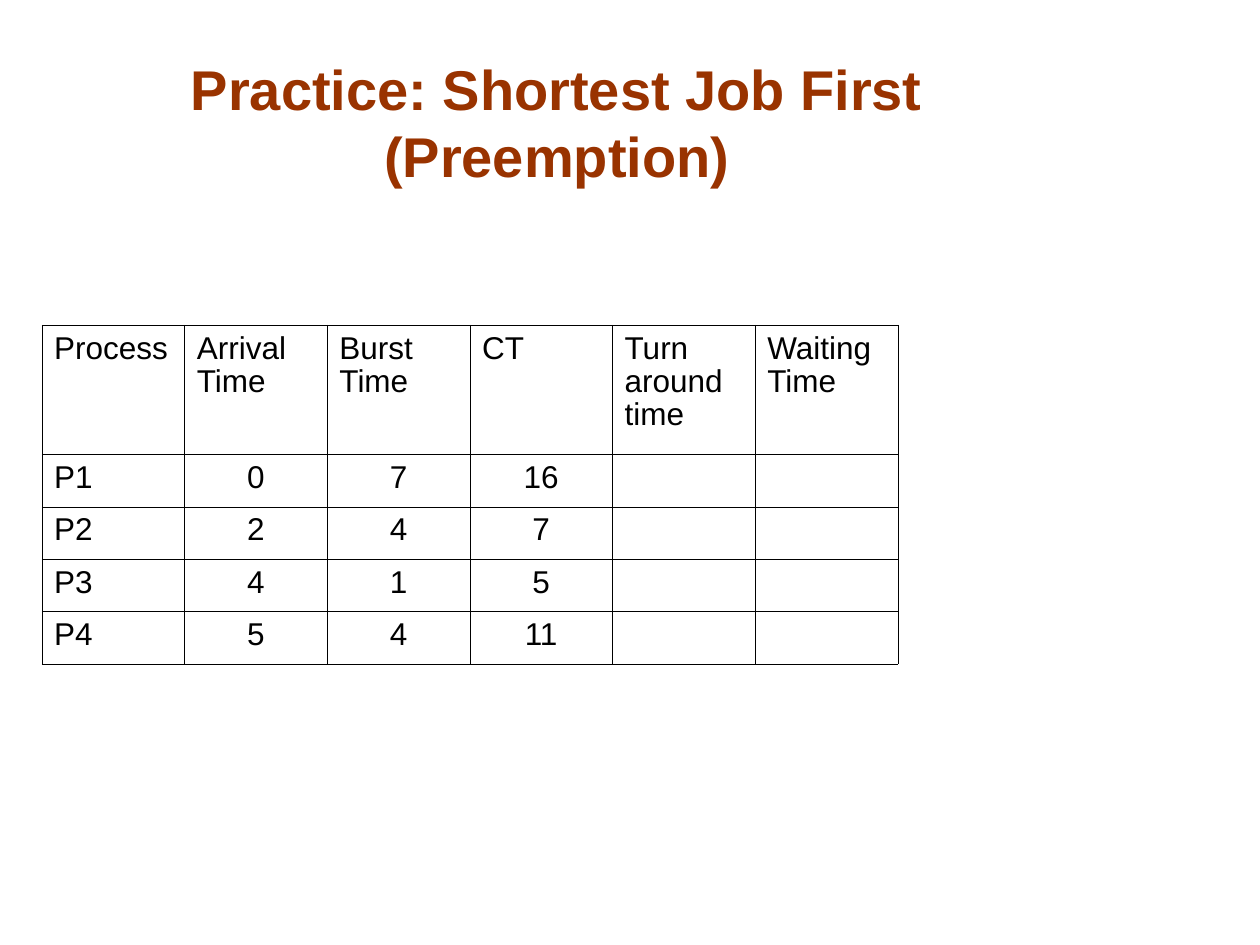
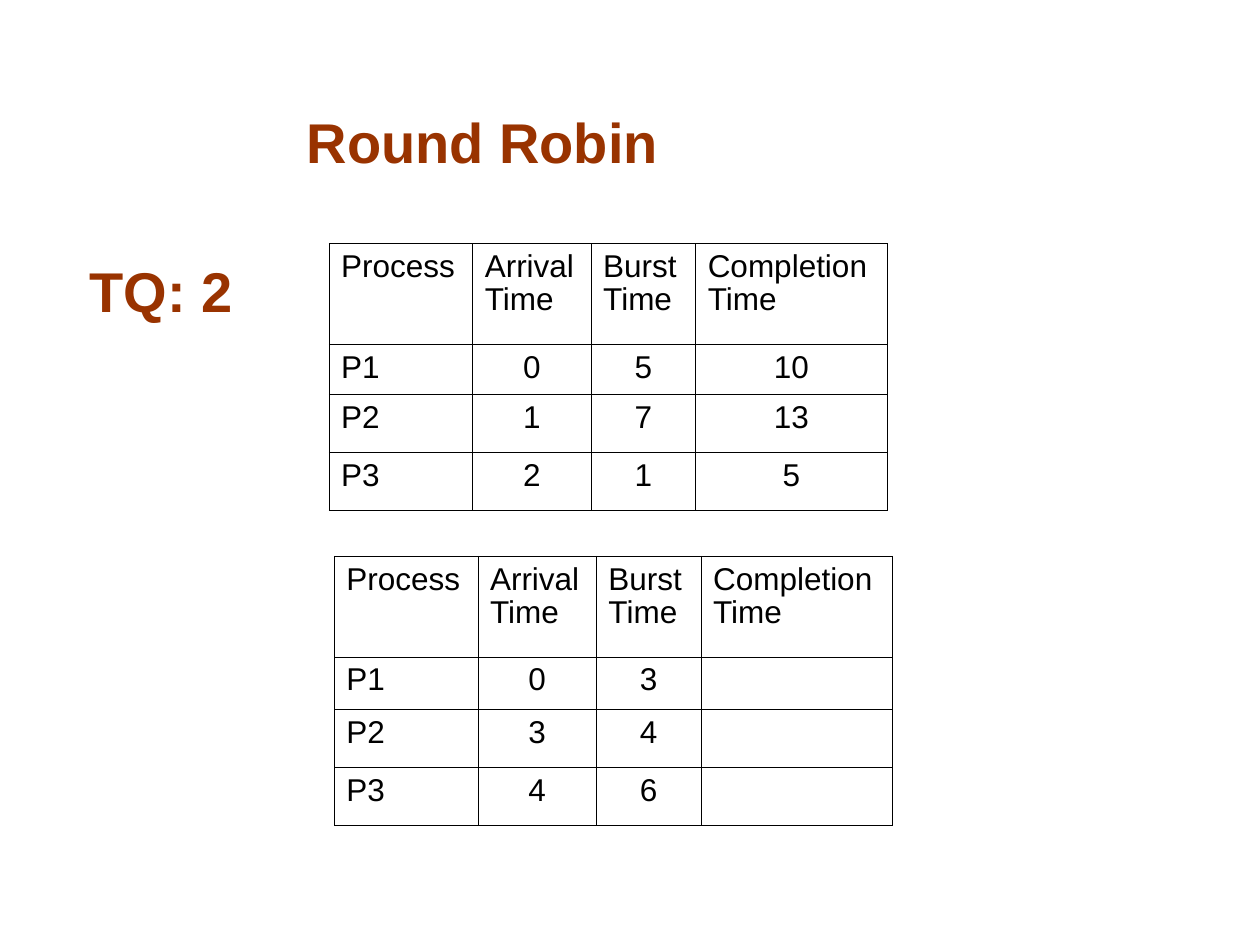
from lxml import etree
from pptx import Presentation
from pptx import util as u
from pptx.dml.color import RGBColor
from pptx.enum import text as t
from pptx.oxml.ns import qn

FONT, RUST, BLACK = "Arial", "993300", "000000"
LEFT, MID = t.PP_ALIGN.LEFT, t.PP_ALIGN.CENTER
HEAD = dict(size=32, color=RUST, bold=True, align=MID)
EDGE = 0.23

ROBIN_HEADS = ["Process", "Arrival Time", "Burst Time", "Completion Time"]
ROBIN_GRID = dict(cols=[82.08, 67.68, 59.76, 109.44],
                  rows=[57.6, 28.8, 33.2, 33.2])

SLIDES = [
    dict(title="Practice: Shortest Job First (Preemption)",
         place=(12.24, 30.24, 612, 81.36),
         tables=[dict(at=(24, 185.76), cols=[81.5] * 6,
                      rows=[74] + [28.95] * 4,
                      cells=[["Process", "Arrival Time", "Burst Time", "CT",
                              "Turn around time", "Waiting Time"],
                             ["P1", "0", "7", "16", "", ""],
                             ["P2", "2", "4", "7", "", ""],
                             ["P3", "4", "1", "5", "", ""],
                             ["P4", "5", "4", "11", "", ""]])]),
    dict(title="Round Robin",
         place=(53.28, 52.56, 444.96, 51.12),
         label=("TQ: 2 ", (20.88, 137.52, 151.2, 51.12)),
         tables=[dict(at=(188, 139), **ROBIN_GRID,
                      cells=[ROBIN_HEADS,
                             ["P1", "0", "5", "10"],
                             ["P2", "1", "7", "13"],
                             ["P3", "2", "1", "5"]]),
                 dict(at=(191, 317.8), **ROBIN_GRID,
                      cells=[ROBIN_HEADS,
                             ["P1", "0", "3", ""],
                             ["P2", "3", "4", ""],
                             ["P3", "4", "6", ""]])]),
]


def pts(vals):
    return [u.Pt(v) for v in vals]


def rgb(code):
    return RGBColor.from_string(code)


def write(frame, words, size=18, color=BLACK, bold=False, align=LEFT,
          space=1.0):
    para = frame.paragraphs[0]
    para.alignment, para.line_spacing = align, space
    run = para.add_run()
    run.text = words
    font = run.font
    font.name, font.size, font.bold = FONT, u.Pt(size), bold
    font.color.rgb = rgb(color)


def head(shape, words, place):
    """Place a large rust heading that sits on the bottom of its box."""
    shape.left, shape.top, shape.width, shape.height = pts(place)
    frame = shape.text_frame
    frame.word_wrap = True
    frame.auto_size = t.MSO_AUTO_SIZE.NONE
    frame.vertical_anchor = t.MSO_ANCHOR.BOTTOM
    write(frame, words, **HEAD)


def rule(cell):
    """Draw a hairline on all four sides of a cell."""
    props = cell._tc.get_or_add_tcPr()
    for side in ("lnL", "lnR", "lnT", "lnB"):
        line = etree.SubElement(props, qn("a:" + side), w=str(u.Pt(EDGE)))
        fill = etree.SubElement(line, qn("a:solidFill"))
        etree.SubElement(fill, qn("a:srgbClr"), val=BLACK)


def grid(slide, at, cols, rows, cells):
    size = sum(cols), sum(rows)
    table = slide.shapes.add_table(len(rows), len(cols),
                                   *pts(at + size)).table
    table.first_row = table.horz_banding = False
    for col, wide in zip(table.columns, cols):
        col.width = u.Pt(wide)
    for row, high in zip(table.rows, rows):
        row.height = u.Pt(high)
    for r, line in enumerate(cells):
        for c, words in enumerate(line):
            cell = table.cell(r, c)
            rule(cell)
            cell.fill.background()
            cell.margin_left = cell.margin_right = u.Pt(7)
            cell.margin_top, cell.margin_bottom = pts((4.3, 3.6))
            if words:
                write(cell.text_frame, words, space=0.94,
                      align=MID if r and c else LEFT)


def main():
    deck = Presentation()
    deck.slide_width, deck.slide_height = pts((720, 540))
    for page in SLIDES:
        slide = deck.slides.add_slide(deck.slide_layouts[5])
        head(slide.shapes.title, page["title"], page["place"])
        if "label" in page:
            words, place = page["label"]
            head(slide.shapes.add_textbox(*pts(place)), words, place)
        for table in page["tables"]:
            grid(slide, **table)
    deck.save("out.pptx")


if __name__ == "__main__":
    main()
